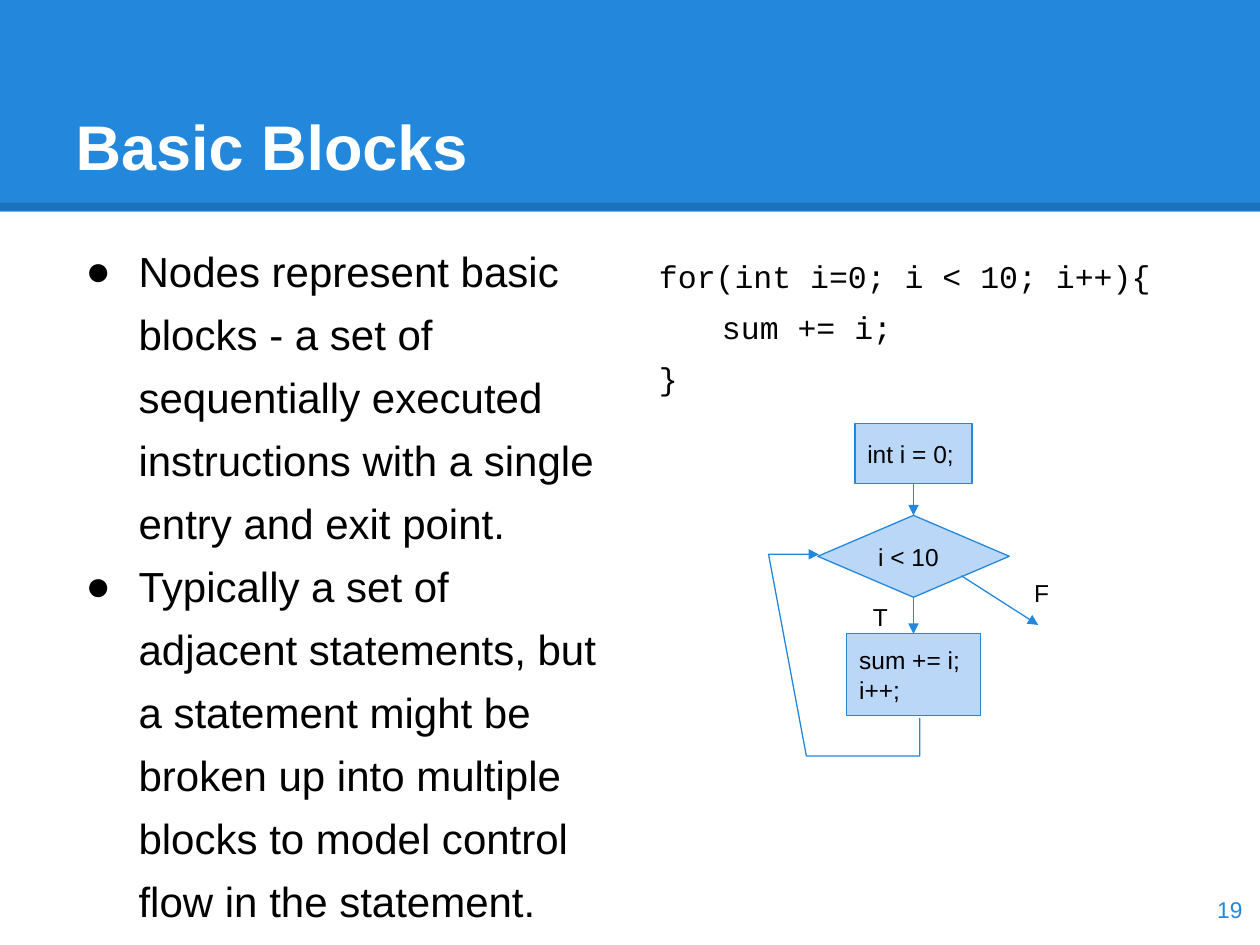
from dataclasses import dataclass

from lxml.etree import SubElement
from pptx import Presentation
from pptx.dml.color import RGBColor as RGB
from pptx.enum.shapes import MSO_CONNECTOR as Conn, MSO_SHAPE as Shape
from pptx.enum.text import MSO_ANCHOR as Anchor, MSO_AUTO_SIZE as AutoSize, PP_ALIGN as Align
from pptx.oxml.ns import qn
from pptx.util import Inches, Pt

COLS, ROWS = 100, 75
CELL = Inches(0.1)


@dataclass(frozen=True)
class Theme:
    blue: str = "2388DB"
    node: str = "BBD7F8"
    ink: str = "000000"
    paper: str = "FFFFFF"
    sans: str = "Arial"
    mono: str = "Courier New"
    title: int = 36
    body: int = 24
    code: int = 18
    label: int = 14
    number: int = 13
    thin: float = 0.75
    thick: float = 4.5


T = Theme()


def grid(*cells):
    return [round(c * CELL) for c in cells]


def place(s, *box):
    s.left, s.top, s.width, s.height = grid(*box)


def write(s, lines, size, color=T.ink, font=T.sans, bold=False, anchor=Anchor.TOP, align=Align.LEFT):
    tf = s.text_frame
    tf.text = "\n".join(lines)
    tf.word_wrap = True
    tf.auto_size = AutoSize.NONE
    tf.vertical_anchor = anchor
    tf.margin_left = tf.margin_top = tf.margin_right = tf.margin_bottom = CELL
    for p in tf.paragraphs:
        p.alignment = align
        for r in p.runs:
            r.font.size, r.font.name, r.font.bold = Pt(size), font, bold
            r.font.color.rgb = RGB.from_string(color)
    return tf.paragraphs


def set_bullet(p, char=None, margin=0, hang=0):
    pPr = p._p.get_or_add_pPr()
    pPr.set("marL", str(Inches(margin)))
    pPr.set("indent", str(Inches(-hang)))
    if char:
        color = SubElement(pPr, qn("a:buClr"))
        SubElement(color, qn("a:srgbClr"), val=T.ink)
        SubElement(pPr, qn("a:buFont"), typeface=T.sans)
        SubElement(pPr, qn("a:buChar"), char=char)
    else:
        SubElement(pPr, qn("a:buNone"))


def add_bullets(s, items):
    for p in write(s, items, T.body):
        set_bullet(p, "●", 0.5, 0.42)
        p.line_spacing = 1.25
        p.space_before = Pt(0)


def add_code(s, lines):
    for i, p in enumerate(write(s, lines, T.code, font=T.mono)):
        set_bullet(p)
        p.space_before = Pt(7.5 if i else 0)


def add_label(slide, box, text, size=T.label, **style):
    write(slide.shapes.add_textbox(*grid(*box)), [text], size, **style)


def add_node(slide, kind, center, top, width, height, *lines):
    s = slide.shapes.add_shape(kind, *grid(center - width / 2, top, width, height))
    s.shadow.inherit = False
    s.fill.solid()
    s.fill.fore_color.rgb = RGB.from_string(T.node)
    style_line(s)
    write(s, lines, T.label, anchor=Anchor.MIDDLE)
    return s


def style_line(s, color=T.blue, width=T.thin):
    s.line.color.rgb = RGB.from_string(color)
    s.line.width = Pt(width)
    return s._element.spPr.find(qn("a:ln"))


def add_line(slide, start, end, **style):
    s = slide.shapes.add_connector(Conn.STRAIGHT, *grid(*start, *end))
    ln = style_line(s, **style)
    SubElement(s._element.spPr, qn("a:effectLst"))
    return s, ln


def add_arrow(slide, start, end):
    s, ln = add_line(slide, start, end)
    SubElement(ln, qn("a:tailEnd"), type="triangle")
    return s


def link_down(slide, upper, lower):
    s = add_arrow(slide, (0, 0), (1, 1))
    s.begin_connect(upper, 2)
    s.end_connect(lower, 0)


def add_loop(slide, points):
    fb = slide.shapes.build_freeform(*points[0], scale=CELL)
    fb.add_line_segments(points[1:], close=False)
    s = fb.convert_to_shape()
    s.fill.background()
    ln = style_line(s)
    SubElement(ln, qn("a:tailEnd"), type="triangle")
    s.shadow.inherit = False


def add_banner(slide):
    s = slide.shapes.add_shape(Shape.RECTANGLE, *grid(0, 0, COLS, 16.8))
    s.shadow.inherit = False
    s.fill.solid()
    s.fill.fore_color.rgb = RGB.from_string(T.blue)
    s.line.fill.background()
    ln = add_line(slide, (0, 16.4), (COLS, 16.4), color=T.ink, width=T.thick)[1]
    SubElement(ln.find(".//" + qn("a:srgbClr")), qn("a:alpha"), val="15000")
    tree = slide.shapes._spTree
    for s in reversed(list(slide.shapes)[-2:]):
        tree.remove(s._element)
        tree.insert(2, s._element)


def add_flowchart(slide):
    axis = 72.5
    start = add_node(slide, Shape.RECTANGLE, axis, 33.6, 9.3, 4.8, "int i = 0;")
    test = add_node(slide, Shape.DIAMOND, axis, 40.9, 15.2, 6.5, "i < 10")
    step = add_node(slide, Shape.RECTANGLE, axis, 50.3, 10.6, 6.5, "sum += i;", "i++;")
    link_down(slide, start, test)
    link_down(slide, test, step)
    add_arrow(slide, (76.3, 45.7), (82.4, 49.6))
    add_label(slide, (81.1, 44.9, 4.9, 2.5), "F")
    add_label(slide, (68.3, 46.8, 3, 3), "T")
    add_loop(slide, [(72.9, 57), (72.9, 60.3), (63.7, 60.3), (60.8, 44), (64.9, 44.1)])


def main():
    prs = Presentation()
    prs.slide_width, prs.slide_height = grid(COLS, ROWS)
    slide = prs.slides.add_slide(prs.slide_layouts[3])
    title, notes, code = slide.placeholders
    add_banner(slide)

    place(title, 5, 3, 90, 12.5)
    write(title, ["Basic Blocks"], T.title, T.paper, bold=True, anchor=Anchor.BOTTOM)
    place(notes, 5, 17.5, 43.7, 54.3)
    add_bullets(notes, [
        "Nodes represent basic blocks - a set of sequentially executed instructions "
        "with a single entry and exit point.",
        "Typically a set of adjacent statements, but a statement might be broken up "
        "into multiple blocks to model control flow in the statement.",
    ])
    place(code, 51.3, 19.4, 43.7, 15.1)
    add_code(code, ["for(int i=0; i < 10; i++){", "\tsum += i;", "}"])

    add_flowchart(slide)
    add_label(slide, (93.6, 69.3, 6, 5.7), "19", T.number, color=T.blue,
              anchor=Anchor.MIDDLE, align=Align.RIGHT)
    prs.save("out.pptx")


if __name__ == "__main__":
    main()
